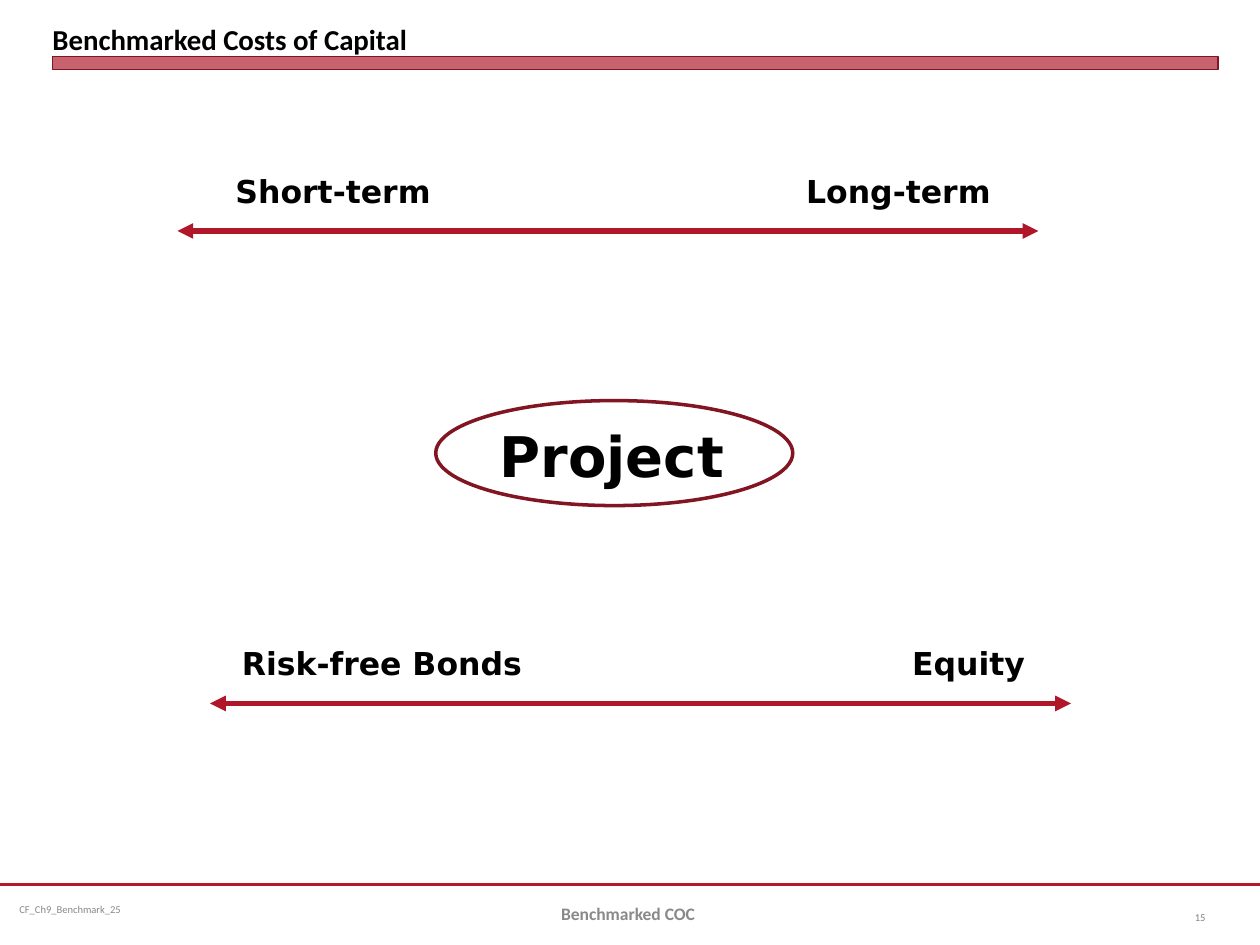
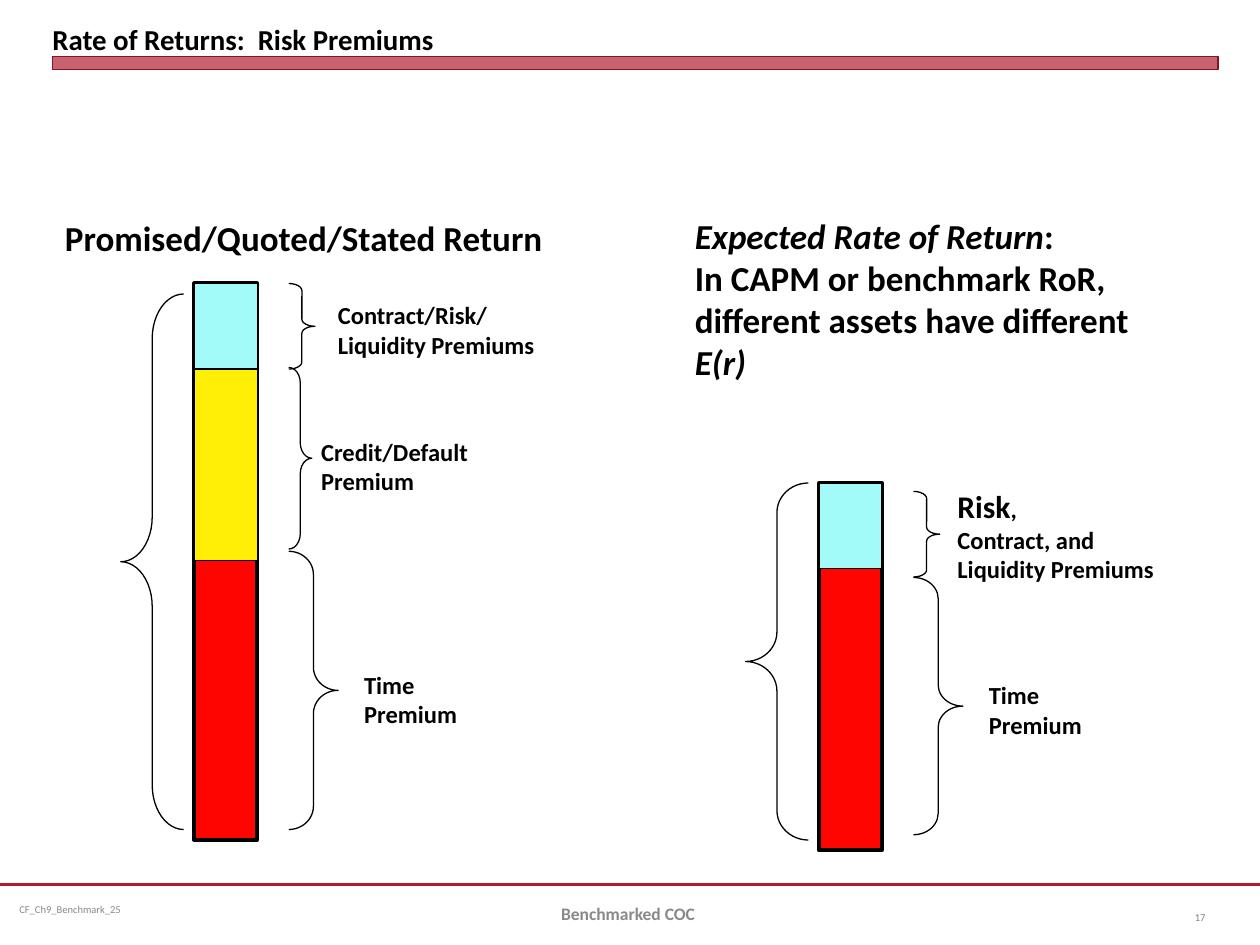
from lxml.etree import SubElement
from pptx import Presentation
from pptx.dml.color import RGBColor
from pptx.enum.shapes import MSO_CONNECTOR, MSO_SHAPE
from pptx.enum.text import MSO_ANCHOR, MSO_AUTO_SIZE, PP_ALIGN
from pptx.oxml.ns import qn
from pptx.util import Inches, Pt

WIDTH, HEIGHT = Inches(10), Inches(7.5)
COLUMNS, ROWS = 120, 90
COLORS = {
    "black": "000000",
    "rule": "B01C2E",
    "arrow": "B0182A",
    "outline": "821522",
    "footer": "898989",
    "number": "808080",
    "time": "FF0502",
    "credit": "FFEF06",
    "liquidity": "A3FBF9",
}
BODY, LABEL = "Calibri", "DejaVu Sans"
STACK_WIDTH = 6
BRACE_GAP = 3


def color(name):
    return RGBColor.from_string(COLORS[name])


def x(column):
    return round(column * WIDTH / COLUMNS)


def y(row):
    return round(row * HEIGHT / ROWS)


def add_text(slide, cells, paragraphs, size, font=BODY, fill="black", bold=True,
             align=PP_ALIGN.LEFT, anchor=MSO_ANCHOR.TOP, wrap=True, insets=(0.1, 0.05)):
    left, top, width, height = cells
    box = slide.shapes.add_textbox(x(left), y(top), x(width), y(height))
    frame = box.text_frame
    frame.word_wrap = wrap
    frame.auto_size = MSO_AUTO_SIZE.NONE
    frame.vertical_anchor = anchor
    frame.margin_left = frame.margin_right = Inches(insets[0])
    frame.margin_top = frame.margin_bottom = Inches(insets[1])
    for index, content in enumerate(paragraphs):
        paragraph = frame.add_paragraph() if index else frame.paragraphs[0]
        paragraph.alignment = align
        paragraph.font.name = font
        paragraph.font.size = Pt(size)
        paragraph.font.bold = bold
        paragraph.font.color.rgb = color(fill)
        runs = [(content, {})] if isinstance(content, str) else content
        for text, style in runs:
            run = paragraph.add_run()
            run.text = text
            if "size" in style:
                run.font.size = Pt(style["size"])
            if "italic" in style:
                run.font.italic = style["italic"]


def add_figure(slide, kind, cells, line="black", weight=0.75, fill=None, alpha=None, curve=None):
    left, top, width, height = cells
    shape = slide.shapes.add_shape(kind, x(left), y(top), x(width), y(height))
    shape.shadow.inherit = False
    shape.line.color.rgb = color(line)
    shape.line.width = Pt(weight)
    if fill:
        shape.fill.solid()
        shape.fill.fore_color.rgb = color(fill)
    else:
        shape.fill.background()
    if alpha:
        tint = shape.fill._xPr.find(qn("a:solidFill"))[0]
        SubElement(tint, qn("a:alpha")).set("val", str(alpha * 1000))
    if curve:
        shape.adjustments[0] = curve


def add_line(slide, start, end, row, line="black", weight=2.25, arrows=False):
    connector = slide.shapes.add_connector(MSO_CONNECTOR.STRAIGHT, x(start), y(row), x(end), y(row))
    connector.line.color.rgb = color(line)
    connector.line.width = Pt(weight)
    if arrows:
        outline = connector.line._get_or_add_ln()
        for tag in ("a:headEnd", "a:tailEnd"):
            SubElement(outline, qn(tag)).set("type", "triangle")
    SubElement(connector._element.spPr, qn("a:effectLst"))


def add_frame(presentation, title, number):
    slide = presentation.slides.add_slide(presentation.slide_layouts[6])
    middle = MSO_ANCHOR.MIDDLE
    add_line(slide, 0, COLUMNS, 84.25, "rule", 1.25)
    add_text(slide, (1, 84.25, 31, 4.8), ["CF_Ch9_Benchmark_25"], 6, fill="footer",
             bold=False, anchor=middle, insets=(0.07, 0.04))
    add_figure(slide, MSO_SHAPE.RECTANGLE, (5, 5.4, 111, 1.2), "outline", 0, "rule", alpha=69)
    add_text(slide, (5, 0.6, 111, 4.8), [title], 16.5, anchor=MSO_ANCHOR.BOTTOM, insets=(0, 0))
    add_text(slide, (41, 84.6, 38, 4.8), ["Benchmarked COC "], 10, fill="footer",
             align=PP_ALIGN.CENTER, anchor=middle)
    add_text(slide, (110, 85, 6, 4.8), [str(number)], 6, fill="number", bold=False,
             align=PP_ALIGN.RIGHT, anchor=middle)
    return slide


def add_scale(slide, start, end, row, labels):
    add_line(slide, start, end, row, "arrow", 3, arrows=True)
    for text, left, width in labels:
        add_text(slide, (left, row - 6.25, width, 4.8), [text], 18, LABEL, wrap=False)


def add_stack(slide, left, top, height, dividers, segments, total, braces):
    add_figure(slide, MSO_SHAPE.RECTANGLE, (left, top, STACK_WIDTH, height), weight=2.25, fill="time")
    for row, weight in dividers:
        add_line(slide, left, left + STACK_WIDTH, row, weight=weight)
    for fill, row, rows in segments:
        add_figure(slide, MSO_SHAPE.RECTANGLE, (left, row, STACK_WIDTH, rows), fill=fill)
    row, rows, curve = total
    add_figure(slide, MSO_SHAPE.LEFT_BRACE, (left - 7, row, 6, rows), curve=curve)
    for row, width, rows, curve in braces:
        cells = (left + STACK_WIDTH + BRACE_GAP, row, width, rows)
        add_figure(slide, MSO_SHAPE.RIGHT_BRACE, cells, curve=curve)


def build_costs(presentation):
    slide = add_frame(presentation, "Benchmarked Costs of Capital", 15)
    add_scale(slide, 16.9, 98.9, 22, [("Short-term", 21.25, 21.25), ("Long-term", 75.6, 20.25)])
    add_scale(slide, 20, 102, 67, [("Risk-free Bonds", 21.85, 29.4), ("Equity", 85.7, 13.2)])
    add_text(slide, (46.4, 39.6, 24.1, 7.7), ["Project"], 32, LABEL, wrap=False)
    add_figure(slide, MSO_SHAPE.OVAL, (41.5, 38.15, 34, 10), "outline", 2)


def build_premiums(presentation):
    slide = add_frame(presentation, "Rate of Returns:  Risk Premiums", 17)
    add_stack(slide, 18.5, 27, 53, [(53, 2.25), (35, 2)],
              [("credit", 35, 18.4), ("liquidity", 27, 8.15)], (28, 51, 0.71),
              [(52.5, 4.7, 26.5, 0.47), (27, 2.5, 8.15, 0.27), (35, 2.2, 17.3, 0.67)])
    add_stack(slide, 78, 46, 35, [(54, 2.25), (46, 2)],
              [("liquidity", 46, 8.15)], (46, 34, 0.47),
              [(55, 4.7, 24.5, 0.43), (46.8, 2.5, 8.15, 0.27)])
    add_text(slide, (5, 20, 50, 5.3), ["Promised/Quoted/Stated Return"], 20)
    add_text(slide, (65, 19.8, 49, 17.4), [
        [("Expected Rate of Return", {"italic": True}), (":", {})],
        [("In CAPM or benchmark RoR, different assets have different", {}),
         (" E(r)", {"italic": True})],
    ], 20)
    for cells, paragraphs in (
        ((31, 28, 23, 6.8), ["Contract/Risk/", "Liquidity Premiums"]),
        ((29.4, 41, 17.5, 6.8), ["Credit/Default Premium"]),
        ((33.5, 63.2, 12.7, 6.8), ["Time Premium"]),
        ((90, 45.8, 27, 10.6), [[("Risk", {"size": 18}), (",", {})],
                                "Contract, and", "Liquidity Premiums"]),
        ((93, 64.2, 12.7, 6.8), ["Time Premium"]),
    ):
        add_text(slide, cells, paragraphs, 14)


def main():
    presentation = Presentation()
    presentation.slide_width, presentation.slide_height = WIDTH, HEIGHT
    build_costs(presentation)
    build_premiums(presentation)
    presentation.save("out.pptx")


if __name__ == "__main__":
    main()
